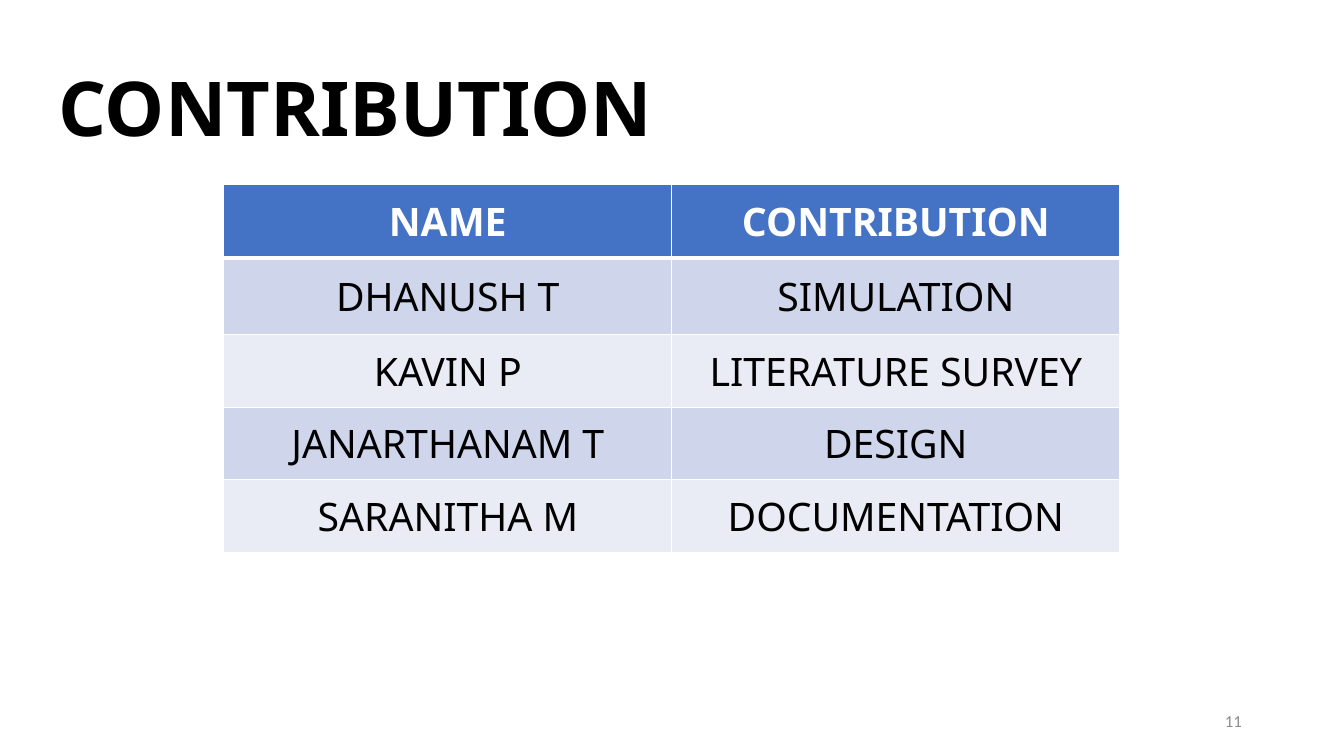
from dataclasses import dataclass

from lxml.etree import SubElement
from pptx import Presentation
from pptx.dml.color import RGBColor as Rgb
from pptx.enum.text import MSO_ANCHOR as Anchor, PP_ALIGN as Align
from pptx.oxml.ns import qn
from pptx.util import Cm, Pt


@dataclass(frozen=True)
class Theme:
    heading_font: str = "Noto Sans"
    number_font: str = "Calibri"
    black: str = "000000"
    white: str = "FFFFFF"
    gray: str = "8C8C8C"
    header: str = "4472C4"
    bands: tuple = ("CFD5EA", "E9EBF5")
    title_size: int = 54
    table_size: int = 28
    number_size: int = 12
    thin_border: int = 1
    thick_border: int = 3


class SlideBuilder:
    def __init__(self, slide, theme):
        self.slide = slide
        self.theme = theme

    def add_words(self, frame, words, font, size, color, bold=False, **layout):
        paragraph = frame.paragraphs[0]
        for key, value in layout.items():
            setattr(paragraph, key, value)
        run = paragraph.add_run()
        run.text = words
        for key, value in {"name": font, "size": Pt(size), "bold": bold}.items():
            setattr(run.font, key, value)
        run.font.color.rgb = Rgb.from_string(color)

    def text(self, words, box, **style):
        frame = self.slide.shapes.add_textbox(*map(Cm, box)).text_frame
        for key, value in {"word_wrap": True, "vertical_anchor": Anchor.MIDDLE}.items():
            setattr(frame, key, value)
        self.add_words(frame, words, **style)

    def border(self, cell, side, width):
        properties = cell._tc.get_or_add_tcPr()
        line = SubElement(properties, qn(f"a:ln{side}"), w=str(Pt(width)))
        fill = SubElement(line, qn("a:solidFill"))
        SubElement(fill, qn("a:srgbClr"), val=self.theme.white)

    def cell(self, cell, words, row):
        theme = self.theme
        is_header = row == 0
        thick_side = {0: "B", 1: "T"}.get(row)
        for side in "LRTB":
            self.border(cell, side, theme.thick_border if side == thick_side else theme.thin_border)
        cell.fill.solid()
        background = theme.header if is_header else theme.bands[(row - 1) % 2]
        cell.fill.fore_color.rgb = Rgb.from_string(background)
        cell.vertical_anchor = Anchor.MIDDLE
        self.add_words(cell.text_frame, words, theme.heading_font, theme.table_size,
                       theme.white if is_header else theme.black,
                       bold=is_header, alignment=Align.CENTER)

    def table(self, rows, left, top, column_width, heights):
        columns = len(rows[0])
        table = self.slide.shapes.add_table(
            len(rows), columns, Cm(left), Cm(top),
            Cm(column_width * columns), Cm(sum(heights))).table
        for column in table.columns:
            column.width = Cm(column_width)
        for index, (entries, height) in enumerate(zip(rows, heights)):
            table.rows[index].height = Cm(height)
            for cell, words in zip(table.rows[index].cells, entries):
                self.cell(cell, words, index)


def main():
    deck = Presentation()
    deck.slide_width, deck.slide_height = Cm(33.87), Cm(19.05)
    theme = Theme()
    builder = SlideBuilder(deck.slides.add_slide(deck.slide_layouts[6]), theme)
    builder.text("11", (23.93, 17.65, 7.62, 1.02), font=theme.number_font,
                 size=theme.number_size, color=theme.gray, alignment=Align.RIGHT)
    builder.text("CONTRIBUTION", (1.22, 0.97, 30.33, 3.68), font=theme.heading_font,
                 size=theme.title_size, color=theme.black, bold=True, line_spacing=0.9)
    contributions = [
        ("NAME", "CONTRIBUTION"),
        ("DHANUSH T", "SIMULATION"),
        ("KAVIN P", "LITERATURE SURVEY"),
        ("JANARTHANAM T", "DESIGN"),
        ("SARANITHA M", "DOCUMENTATION"),
    ]
    builder.table(contributions, left=5.64, top=4.65, column_width=11.29,
                  heights=[1.85, 1.93] + [1.83] * 3)
    deck.save("out.pptx")


if __name__ == "__main__":
    main()
